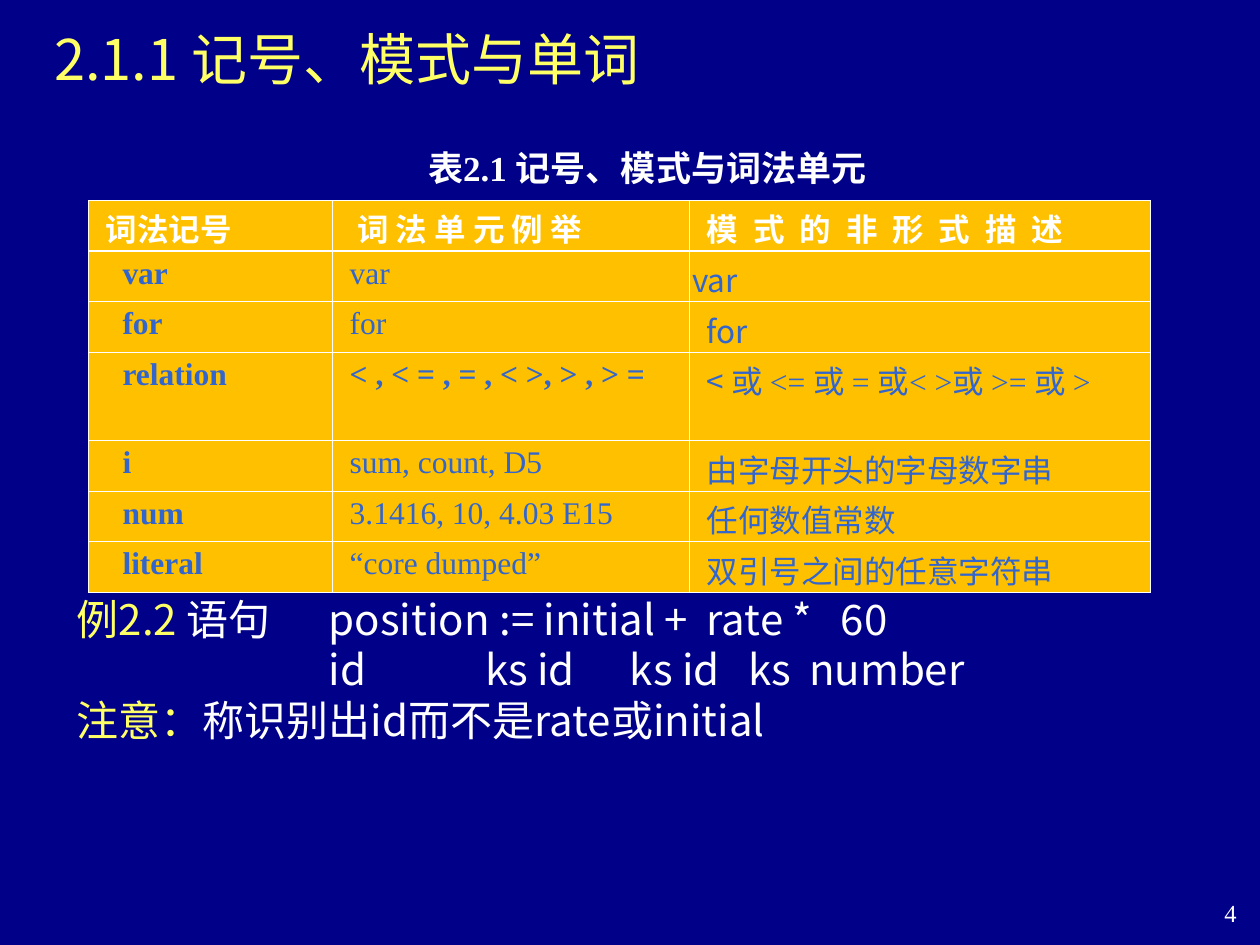
import pptx
import pptx.util
import pptx.dml.color
import pptx.enum.text
import pptx.oxml.ns
from lxml import etree

Cm = pptx.util.Cm
ALIGN = pptx.enum.text.PP_ALIGN
ANCHOR = pptx.enum.text.MSO_ANCHOR

THEME = {
    "navy": "000088", "yellow": "FFFF66", "white": "FFFFFF",
    "gold": "FFC000", "blue": "3366CC",
    "sans": "Noto Sans CJK SC", "serif": "Times New Roman",
    "title": 32, "body": 24, "caption": 20, "cell": 18, "number": 14,
    "thin": 0.45, "thick": 1.47,
}

TITLE = "2.1.1 记号、模式与单词"
CAPTION = "表2.1 记号、模式与词法单元"
PAGE = "4"
HEADER = ["词法记号", "词 法 单 元 例 举", "模 式 的 非 形 式 描 述"]
ROWS = [
    ["var", "var", "var"],
    ["for", "for", "for"],
    ["relation", "< , < = , = , < >, > , > =", "< 或 <= 或 = 或< >或 >= 或 >"],
    ["i", "sum, count, D5", "由字母开头的字母数字串"],
    ["num", "3.1416, 10, 4.03 E15", "任何数值常数"],
    ["literal", "“core dumped”", "双引号之间的任意字符串"],
]
EXAMPLE = [
    ([("例2.2 ", "yellow"), ("语句\tposition := initial +\trate *\t60", "white")],
     [5.08, 12.7, 15.4]),
    ([("\tid\tks id\tks id\tks\tnumber", "white")],
     [5.08, 8.23, 11.15, 13.54, 14.76]),
    ([("注意：", "yellow"), ("称识别出id而不是rate或initial", "white")], []),
]

COLUMN_WIDTHS = [4.92, 7.2, 9.29]
ROW_HEIGHT, TALL_ROW_HEIGHT = 1.02, 1.78
HEADER_INDENTS = [0.3, 0.45, 0.3]
BODY_INDENTS = [0.64, 0.3, 0.3]
HEADER_SPREAD = 2.25


def color(name):
    return pptx.dml.color.RGBColor.from_string(THEME[name])


def child(parent, tag, **attributes):
    return etree.SubElement(parent, pptx.oxml.ns.qn(tag), attributes)


def format_run(r, size, fill, face="sans", bold=False):
    r.font.size = pptx.util.Pt(THEME[size])
    r.font.color.rgb = color(fill)
    r.font.bold = bold
    r.font.name = THEME[face]
    child(r.font._element, "a:ea", typeface=THEME["sans"])


def add_box(s, left, top, width, height, anchor=ANCHOR.TOP):
    tf = s.shapes.add_textbox(Cm(left), Cm(top), Cm(width), Cm(height)).text_frame
    tf.word_wrap = True
    tf.vertical_anchor = anchor
    return tf


def add_line(s, place, text, size, fill, face="sans", bold=False,
             align=ALIGN.LEFT, anchor=ANCHOR.TOP):
    tf = add_box(s, *place, anchor)
    tf.text = text
    p = tf.paragraphs[0]
    p.alignment = align
    format_run(p.runs[0], size, fill, face, bold)


def add_example(s):
    tf = add_box(s, 1.3, 11.84, 22.6, 6.25)
    for i, (parts, stops) in enumerate(EXAMPLE):
        p = tf.add_paragraph() if i else tf.paragraphs[0]
        if stops:
            tabs = child(p._p.get_or_add_pPr(), "a:tabLst")
            for stop in stops:
                child(tabs, "a:tab", pos=str(Cm(stop)), algn="l")
        for text, fill in parts:
            r = p.add_run()
            r.text = text
            format_run(r, "body", fill)


def style_cell(cell, row):
    cell.margin_left = cell.margin_right = Cm(0.05)
    cell.margin_top, cell.margin_bottom = Cm(0.1), Cm(0)
    heavy = {0: "a:lnB", 1: "a:lnT"}.get(row)
    for tag in ("a:lnL", "a:lnR", "a:lnT", "a:lnB"):
        width = pptx.util.Pt(THEME["thick" if tag == heavy else "thin"])
        line = child(cell._tc.get_or_add_tcPr(), tag, w=str(int(width)))
        child(child(line, "a:solidFill"), "a:srgbClr", val=THEME["white"])
    cell.fill.solid()
    cell.fill.fore_color.rgb = color("gold")


def write_cell(cell, text, row, col):
    p = cell.text_frame.paragraphs[0]
    p.alignment = ALIGN.JUSTIFY
    indent = (BODY_INDENTS if row else HEADER_INDENTS)[col]
    if (row, col) != (1, 2):
        p._p.get_or_add_pPr().set("indent", str(Cm(indent)))
    fill = "blue" if row else "white"
    bold = row == 0 or col == 0 or (row, col) == (3, 1)
    parts = [(text, "sans" if col == 2 and row in (1, 2) else "serif")]
    if (row, col) == (3, 2):
        parts = [(text[:2], "sans"), (text[2:], "serif")]
    for part, face in parts:
        r = p.add_run()
        r.text = part
        format_run(r, "cell", fill, face, bold)
        if (row, col) == (0, 2):
            r.font._element.set("spc", str(int(HEADER_SPREAD * 100)))


def add_token_table(s):
    rows = [HEADER] + ROWS
    heights = [TALL_ROW_HEIGHT if row[0] == "relation" else ROW_HEIGHT for row in rows]
    table = s.shapes.add_table(len(rows), len(HEADER), Cm(1.78), Cm(4.04),
                               Cm(sum(COLUMN_WIDTHS)), Cm(sum(heights))).table
    table.first_row = table.horz_banding = False
    for column, width in zip(table.columns, COLUMN_WIDTHS):
        column.width = Cm(width)
    for i, row in enumerate(rows):
        table.rows[i].height = Cm(heights[i])
        for j, text in enumerate(row):
            style_cell(table.cell(i, j), i)
            write_cell(table.cell(i, j), text, i, j)


def main():
    prs = pptx.Presentation()
    prs.slide_width, prs.slide_height = Cm(25.4), Cm(19.05)
    s = prs.slides.add_slide(prs.slide_layouts[6])
    s.background.fill.solid()
    s.background.fill.fore_color.rgb = color("navy")
    add_line(s, (19.9, 17.98, 5.28, 1.27), PAGE, "number", "white", "serif",
             align=ALIGN.RIGHT)
    add_line(s, (0.84, 0.42, 21.6, 1.52), TITLE, "title", "yellow",
             anchor=ANCHOR.MIDDLE)
    add_example(s)
    add_token_table(s)
    add_line(s, (6.7, 2.82, 12.7, 1.25), CAPTION, "caption", "white", "serif",
             bold=True, align=ALIGN.CENTER)
    prs.save("out.pptx")


if __name__ == "__main__":
    main()
